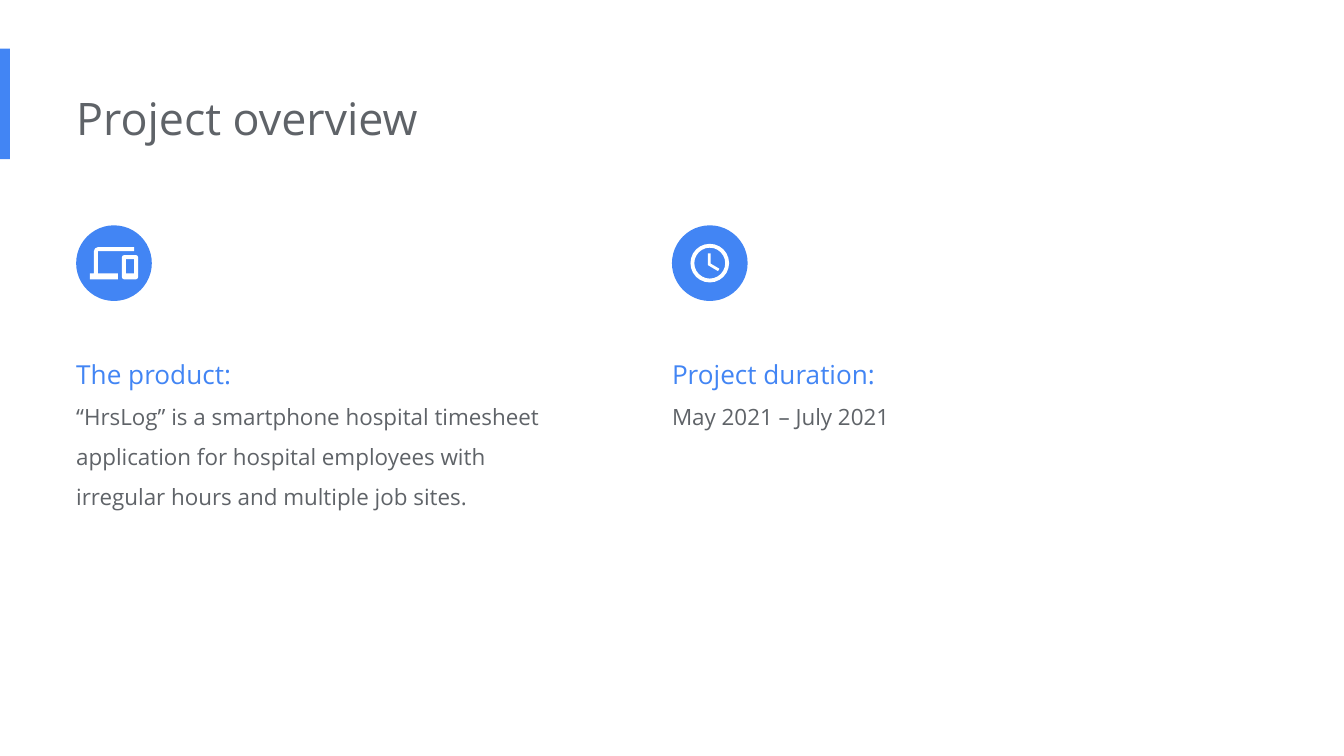
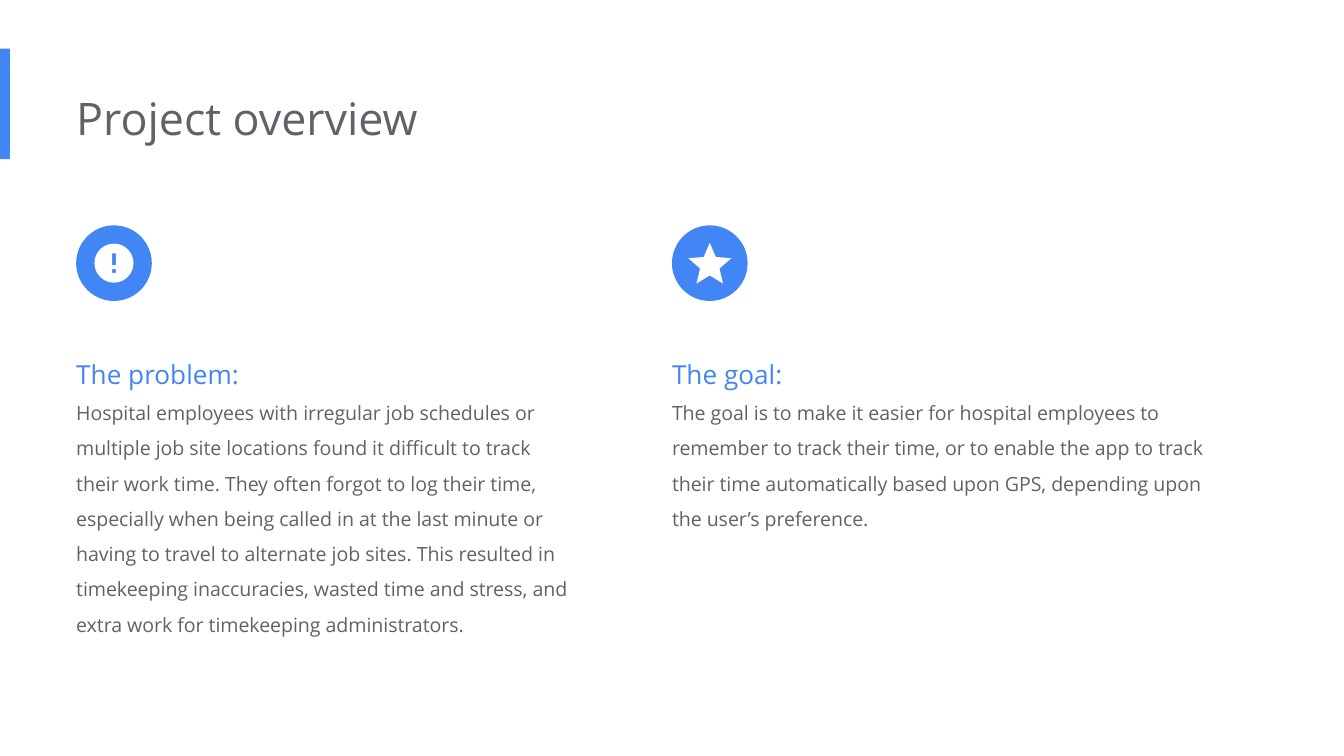
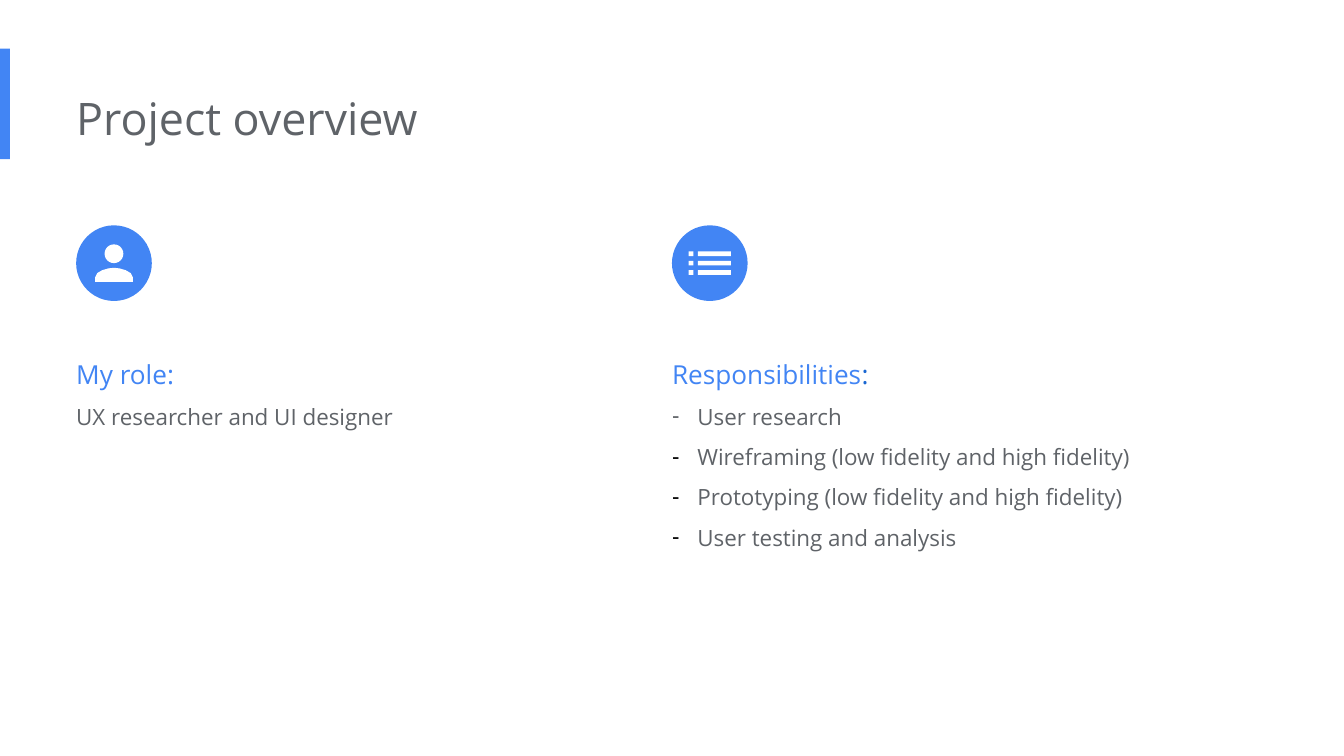
import math

from lxml import etree
from pptx import Presentation
from pptx.dml.color import RGBColor
from pptx.enum.shapes import MSO_SHAPE
from pptx.enum.text import MSO_ANCHOR, MSO_AUTO_SIZE, PP_ALIGN
from pptx.oxml.ns import qn
from pptx.util import Cm, Pt

RECT, OVAL = MSO_SHAPE.RECTANGLE, MSO_SHAPE.OVAL
TOP, LEFT, GROW = MSO_ANCHOR.TOP, PP_ALIGN.LEFT, MSO_AUTO_SIZE.SHAPE_TO_FIT_TEXT

FONT = "Open Sans"
BLUE, DEEP_BLUE, GREY, WHITE, BLACK = "4285F4", "1967D2", "5F6368", "FFFFFF", "000000"
COLUMNS = (1.44, 12.7)
BADGE_TOP, BADGE_SIZE, BODY_TOP = 4.26, 1.43, 6.22


def rgb(value):
    return RGBColor.from_string(value)


def add_run(p, text, size=12, color=GREY):
    r = p.add_run()
    r.text = text
    r.font.name = FONT
    r.font.size = Pt(size)
    r.font.color.rgb = rgb(color)
    return r


def circle(cx, cy, radius, steps=24):
    angles = [2 * math.pi * i / steps for i in range(steps)]
    return [(cx + radius * math.cos(a), cy + radius * math.sin(a)) for a in angles]


def curve(a, b, c, d, steps=4):
    points = []
    for i in range(steps + 1):
        t = i / steps
        weights = ((1 - t) ** 3, 3 * t * (1 - t) ** 2, 3 * t * t * (1 - t), t ** 3)
        points.append(tuple(sum(w * q[k] for w, q in zip(weights, (a, b, c, d)))
                            for k in (0, 1)))
    return points


def box(x1, y1, x2, y2):
    return [(x1, y1), (x2, y1), (x2, y2), (x1, y2)]


def rounded(x1, y1, x2, y2, radius, steps=2):
    points = []
    corners = ((x2 - radius, y2 - radius), (x1 + radius, y2 - radius),
               (x1 + radius, y1 + radius), (x2 - radius, y1 + radius))
    for i, (cx, cy) in enumerate(corners):
        for step in range(steps + 1):
            a = math.pi / 2 * (i + step / steps)
            points.append((cx + radius * math.cos(a), cy + radius * math.sin(a)))
    return points


LAPTOP = [(4, 6), (22, 6), (22, 4)] + curve((4, 4), (2.9, 4), (2, 4.9), (2, 6), 2) + [
    (2, 17), (0, 17), (0, 20), (14, 20), (14, 17), (4, 17)]
CLOCK_HANDS = [(12.5, 7), (11, 7), (11, 13), (16.25, 16.15), (17, 14.92), (12.5, 12.25)]
STAR = [(12, 17.27), (18.18, 21), (16.54, 13.97), (22, 9.24), (14.81, 8.63),
        (12, 2), (9.19, 8.63), (2, 9.24), (7.46, 13.97), (5.82, 21)]
SHOULDERS = (curve((12, 14), (9.33, 14), (4, 15.34), (4, 18)) + [(4, 20), (20, 20)]
             + curve((20, 18), (20, 15.34), (14.67, 14), (12, 14)))
LIST_ROWS = [box(x1, y, x2, y + 2) for y in (7, 11, 15) for x1, x2 in ((3, 5), (7, 21))]

ICONS = {
    "devices": (0.91, [LAPTOP, rounded(16, 8, 24, 20, 1), box(18, 10, 22, 17)]),
    "clock": (0.73, [circle(12, 12, 10), circle(12, 12, 8), CLOCK_HANDS]),
    "alert": (0.74, [circle(12, 12, 10), box(11, 7, 13, 13), box(11, 15, 13, 17)]),
    "star": (0.81, [STAR]),
    "person": (0.71, [circle(12, 8, 4), SHOULDERS]),
    "list": (0.8, LIST_ROWS),
}


class Deck:
    def __init__(self):
        self.prs = Presentation()
        self.prs.slide_width, self.prs.slide_height = Cm(25.4), Cm(14.29)
        self.layout = self.prs.slide_layouts[3]
        self.s = None

    def new_slide(self, title):
        first = self.s is None
        self.s = self.prs.slides.add_slide(self.layout)
        if first:
            band = self.shape(RECT, 0, 0.92, 0.19, 2.09)
            self.layout.shapes.element.insert(2, band.element)
        tf = self.frame(self.s.shapes.title, 1.44, 1.46, 17.1, 1.56)
        p = tf.paragraphs[0]
        p.alignment = LEFT
        add_run(p, title, size=24)

    def paint(self, sp, color):
        sp.shadow.inherit = False
        sp.fill.solid()
        sp.fill.fore_color.rgb = rgb(color)
        sp.line.fill.background()
        return sp

    def shape(self, kind, x, y, w, h, color=BLUE):
        return self.paint(self.s.shapes.add_shape(kind, Cm(x), Cm(y), Cm(w), Cm(h)), color)

    def frame(self, sp, x, y, w, h):
        sp.left, sp.top, sp.width, sp.height = Cm(x), Cm(y), Cm(w), Cm(h)
        tf = sp.text_frame
        tf.word_wrap = True
        tf.auto_size = GROW
        tf.vertical_anchor = TOP
        tf.margin_left = 0
        tf.margin_top = tf.margin_right = tf.margin_bottom = Cm(0.25)
        return tf

    def icon(self, name, cx, cy):
        width, outlines = ICONS[name]
        xs, ys = zip(*(point for outline in outlines for point in outline))
        unit = Cm(width) / (max(xs) - min(xs))
        mid_x, mid_y = (min(xs) + max(xs)) / 2, (min(ys) + max(ys)) / 2
        builder = None
        for outline in outlines:
            points = [(Cm(cx) + (x - mid_x) * unit, Cm(cy) + (y - mid_y) * unit)
                      for x, y in outline]
            if builder is None:
                builder = self.s.shapes.build_freeform(*points[0], scale=1.0)
            else:
                builder.move_to(*points[0])
            builder.add_line_segments(points[1:], close=True)
        self.paint(builder.convert_to_shape(), WHITE)

    def bullet(self, p, color):
        pPr = p._p.get_or_add_pPr()
        indent = Cm(0.48) if color else 0
        pPr.set("marL", str(indent))
        pPr.set("indent", str(-indent))
        if color:
            clr = etree.SubElement(pPr, qn("a:buClr"))
            etree.SubElement(clr, qn("a:srgbClr"), val=color)
            etree.SubElement(pPr, qn("a:buChar"), char="-")
        else:
            etree.SubElement(pPr, qn("a:buNone"))

    def paragraph(self, p, text, size=12, color=GREY, bullet=None):
        self.bullet(p, bullet)
        p.line_spacing = 1.5
        p.space_before = Pt(0)
        add_run(p, text, size, color)

    def column(self, index, icon, heading, lines, height, width=9.58, size=12,
               bullets=(None,), colon=BLUE):
        x, half = COLUMNS[index], BADGE_SIZE / 2
        self.shape(OVAL, x, BADGE_TOP, BADGE_SIZE, BADGE_SIZE)
        self.icon(icon, x + half, BADGE_TOP + half)
        tf = self.frame(self.s.placeholders[index + 1], x, BODY_TOP, width, height)
        p = tf.paragraphs[0]
        if colon == BLUE:
            self.paragraph(p, heading + ":", size=14, color=BLUE)
        else:
            self.paragraph(p, heading, size=14, color=BLUE)
            add_run(p, ":", size=14, color=colon)
        for text, mark in zip(lines, bullets):
            self.paragraph(tf.add_paragraph(), text, size=size, bullet=mark)


def main():
    deck = Deck()
    title = "Project overview"

    deck.new_slide(title)
    deck.column(0, "devices", "The product", [
        "“HrsLog” is a smartphone hospital timesheet application for hospital "
        "employees with irregular hours and multiple job sites."], 3.71)
    deck.column(1, "clock", "Project duration", ["May 2021 – July 2021"], 2.18)

    deck.new_slide(title)
    deck.column(0, "alert", "The problem", [
        "Hospital employees with irregular job schedules or multiple job site "
        "locations found it difficult to track their work time. They often forgot "
        "to log their time, especially when being called in at the last minute or "
        "having to travel to alternate job sites. This resulted in timekeeping "
        "inaccuracies, wasted time and stress, and extra work for timekeeping "
        "administrators."], 6.12, size=10.5)
    deck.column(1, "star", "The goal", [
        "The goal is to make it easier for hospital employees to remember to track "
        "their time, or to enable the app to track their time automatically based "
        "upon GPS, depending upon the user’s preference."],
        4.11, width=10.41, size=10.5)

    deck.new_slide(title)
    deck.column(0, "person", "My role", ["UX researcher and UI designer"], 2.18)
    deck.column(1, "list", "Responsibilities", [
        "User research",
        "Wireframing (low fidelity and high fidelity)",
        "Prototyping (low fidelity and high fidelity)",
        "User testing and analysis"],
        4.5, bullets=(GREY, BLACK, BLACK, BLACK), colon=DEEP_BLUE)

    deck.prs.save("out.pptx")


if __name__ == "__main__":
    main()
